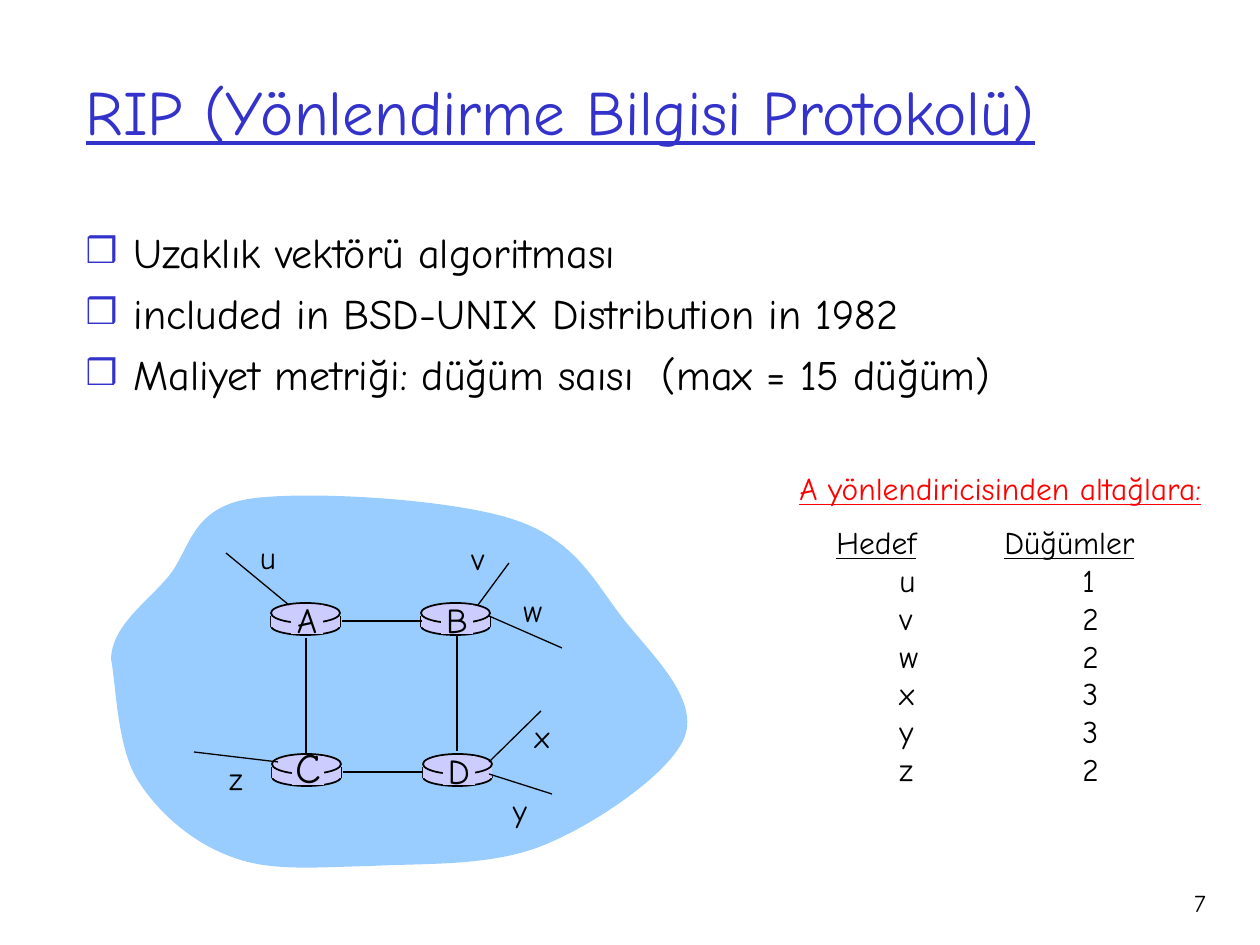
from typing import NamedTuple

from lxml import etree
from pptx import Presentation
from pptx.dml.color import RGBColor
from pptx.enum.shapes import MSO_CONNECTOR, MSO_SHAPE
from pptx.enum.text import MSO_ANCHOR, MSO_AUTO_SIZE, PP_ALIGN
from pptx.oxml.ns import qn
from pptx.util import Pt

SCALE = 914400 / 126
FONT = "Comic Neue"
BLUE = RGBColor(0x33, 0x33, 0xCC)
SKY = RGBColor(0x99, 0xCC, 0xFF)
LILAC = RGBColor(0xCC, 0xCC, 0xFF)
RED = RGBColor(0xFF, 0x00, 0x00)
BLACK = RGBColor(0x00, 0x00, 0x00)
STRAIGHT = MSO_CONNECTOR.STRAIGHT
OVAL, RECTANGLE = MSO_SHAPE.OVAL, MSO_SHAPE.RECTANGLE
LEFT, CENTER, RIGHT = PP_ALIGN.LEFT, PP_ALIGN.CENTER, PP_ALIGN.RIGHT
TOP, MIDDLE = MSO_ANCHOR.TOP, MSO_ANCHOR.MIDDLE
NO_RESIZE = MSO_AUTO_SIZE.NONE


class Router(NamedTuple):
    name: str
    left: int
    top: int
    size: int
    sides: tuple[int, ...] = (0, 69)


class Line(NamedTuple):
    x1: int
    y1: int
    x2: int
    y2: int
    weight: float


class Subnet(NamedTuple):
    name: str
    center: int
    top: int
    hops: int


ROUTERS = [Router("C", 272, 754, 24), Router("A", 271, 603, 20),
           Router("B", 421, 603, 20), Router("D", 423, 754, 20, (0,))]
LINKS = [Line(457, 636, 457, 751, 1), Line(306, 638, 306, 755, 1),
         Line(423, 772, 343, 772, 1), Line(422, 621, 342, 621, 1)]
STUBS = [Line(489, 616, 562, 648, 0.75), Line(478, 605, 509, 563, 0.75),
         Line(489, 762, 541, 711, 0.75), Line(489, 774, 552, 794, 0.75),
         Line(289, 605, 226, 553, 0.75), Line(278, 762, 194, 752, 0.75)]
SUBNETS = [Subnet("u", 268, 532, 1), Subnet("v", 478, 533, 2),
           Subnet("w", 533, 585, 2), Subnet("x", 542, 711, 3),
           Subnet("y", 520, 785, 3), Subnet("z", 236, 753, 2)]
CLOUD_START = (111, 659)
CLOUD_CURVES = [
    ((112, 626), (145, 604), (168, 577)), ((190, 551), (190, 509), (248, 499)),
    ((306, 490), (454, 499), (515, 520)), ((578, 541), (596, 585), (625, 621)),
    ((653, 656), (698, 698), (685, 736)), ((672, 772), (596, 824), (544, 845)),
    ((491, 867), (422, 863), (370, 866)), ((318, 867), (271, 872), (232, 857)),
    ((193, 843), (158, 813), (137, 779)), ((117, 746), (116, 684), (111, 659)),
]
BULLETS = ["Uzaklık vektörü algoritması",
           "included in BSD-UNIX Distribution in 1982",
           "Maliyet metriği: düğüm saısı  (max = 15 düğüm)"]


def emu(*lengths: float) -> list[int]:
    """Turn px lengths into EMU."""
    return [round(length * SCALE) for length in lengths]


def set_font(target, size: int, color=BLACK, underline: bool = False) -> None:
    """Format the font of a run or a paragraph."""
    values = {"name": FONT, "size": Pt(size), "underline": underline}
    for name, value in values.items():
        setattr(target.font, name, value)
    target.font.color.rgb = color


def place(shape, left: int, top: int, width: int, height: int) -> None:
    """Move and size a shape."""
    for name, value in zip(("left", "top", "width", "height"), emu(left, top, width, height)):
        setattr(shape, name, value)


def set_frame(frame, wrap: bool = True, anchor=TOP) -> None:
    """Format a text frame."""
    values = {"word_wrap": wrap, "auto_size": NO_RESIZE, "vertical_anchor": anchor}
    for name, value in values.items():
        setattr(frame, name, value)


def add_text(slide, box, text: str, size: int, align=LEFT, color=BLACK,
             wrap: bool = True, underline: bool = False) -> None:
    """Add a text box with one paragraph."""
    frame = slide.shapes.add_textbox(*emu(*box)).text_frame
    set_frame(frame, wrap)
    paragraph = frame.paragraphs[0]
    paragraph.text = text
    paragraph.alignment = align
    set_font(paragraph.runs[0], size, color, underline)


def set_bullet(paragraph) -> None:
    """Give a paragraph a hanging box bullet."""
    properties = paragraph._p.get_or_add_pPr()
    indent, = emu(48)
    properties.set("marL", str(indent))
    properties.set("indent", str(-indent))
    color = etree.SubElement(properties, qn("a:buClr"))
    etree.SubElement(color, qn("a:srgbClr"), val=str(BLUE))
    etree.SubElement(properties, qn("a:buSzPct"), val="85000")
    etree.SubElement(properties, qn("a:buChar"), char="❒")


def set_tabs(paragraph, positions: tuple[int, ...]) -> None:
    """Set the left tab stops of a paragraph."""
    tabs = etree.SubElement(paragraph._p.get_or_add_pPr(), qn("a:tabLst"))
    for position in emu(*positions):
        etree.SubElement(tabs, qn("a:tab"), pos=str(position), algn="l")


def add_line(slide, line: Line) -> None:
    """Draw a straight black line."""
    connector = slide.shapes.add_connector(STRAIGHT, *emu(line.x1, line.y1, line.x2, line.y2))
    connector.line.color.rgb = BLACK
    connector.line.width = Pt(line.weight)
    etree.SubElement(connector._element.spPr, qn("a:effectLst"))


def set_look(shape, fill, outlined: bool = False) -> None:
    """Fill a shape and set its outline."""
    shape.shadow.inherit = False
    shape.fill.solid()
    shape.fill.fore_color.rgb = fill
    if outlined:
        shape.line.color.rgb = BLACK
        shape.line.width = Pt(1)
    else:
        shape.line.fill.background()


def add_part(slide, kind, box, outlined: bool = False) -> None:
    """Draw one part of a router."""
    set_look(slide.shapes.add_shape(kind, *emu(*box)), LILAC, outlined)


def add_router(slide, router: Router) -> None:
    """Draw a router as a labelled flat cylinder."""
    left, top = router.left, router.top
    add_part(slide, OVAL, (left, top + 14, 69, 18), True)
    for side in router.sides:
        add_line(slide, Line(left + side, top + 13, left + side, top + 24, 1))
    add_part(slide, RECTANGLE, (left, top + 13, 69, 11))
    add_part(slide, OVAL, (left, top, 69, 20), True)
    add_part(slide, RECTANGLE, (left + 20, top + 2, 32, 29))
    height = 2 * router.size + 15
    add_text(slide, (left + 11, top + 44 - height, 50, height), router.name,
             router.size, CENTER, wrap=False)


def add_cloud(slide) -> None:
    """Draw the network cloud, turning each three segments into one Bézier curve."""
    builder = slide.shapes.build_freeform(*CLOUD_START, scale=SCALE)
    builder.add_line_segments([point for curve in CLOUD_CURVES for point in curve], close=True)
    cloud = builder.convert_to_shape()
    segments = list(cloud._element.iter(qn("a:lnTo")))
    for index in range(0, len(CLOUD_CURVES) * 3, 3):
        curve = etree.Element(qn("a:cubicBezTo"))
        segments[index].addprevious(curve)
        for segment in segments[index:index + 3]:
            curve.append(segment[0])
            segment.getparent().remove(segment)
    set_look(cloud, SKY)


def add_hop_list(slide) -> None:
    """List the hop count of each subnet in tabbed columns."""
    frame = slide.shapes.add_textbox(*emu(824, 517, 323, 315)).text_frame
    set_frame(frame)
    rows = [("Hedef", "\t", "Düğümler")] + [(f"\t{s.name}\t{s.hops}",) for s in SUBNETS]
    for index, row in enumerate(rows):
        paragraph = frame.paragraphs[0] if index == 0 else frame.add_paragraph()
        set_tabs(paragraph, (63, 246) if index else (168,))
        for text in row:
            run = paragraph.add_run()
            run.text = text
            set_font(run, 18, underline=index == 0 and text != "\t")


def fill_placeholders(slide) -> None:
    """Write the title and the bullet list."""
    title, body = slide.shapes.title, slide.placeholders[1]
    place(title, 73, 31, 1126, 158)
    set_frame(title.text_frame, anchor=MIDDLE)
    heading = title.text_frame.paragraphs[0]
    heading.text = "RIP (Yönlendirme Bilgisi Protokolü)"
    heading.alignment = LEFT
    set_font(heading.runs[0], 36, BLUE, True)
    place(body, 73, 220, 1134, 233)
    set_frame(body.text_frame)
    for index, text in enumerate(BULLETS):
        paragraph = body.text_frame.paragraphs[0] if index == 0 else body.text_frame.add_paragraph()
        paragraph.text = text
        set_bullet(paragraph)
        paragraph.space_before = Pt(6 if index else 0)
        set_font(paragraph.runs[0], 24)


def main() -> None:
    """Build the slide and save it."""
    presentation = Presentation()
    presentation.slide_width, presentation.slide_height = emu(1260, 945)
    slide = presentation.slides.add_slide(presentation.slide_layouts[1])
    fill_placeholders(slide)
    add_cloud(slide)
    for router in ROUTERS:
        add_router(slide, router)
    for line in LINKS + STUBS:
        add_line(slide, line)
    for subnet in SUBNETS:
        add_text(slide, (subnet.center - 20, subnet.top, 40, 50), subnet.name, 18, CENTER, wrap=False)
    add_hop_list(slide)
    add_text(slide, (787, 463, 428, 50), "A yönlendiricisinden altağlara:", 18,
             color=RED, wrap=False, underline=True)
    add_text(slide, (1125, 882, 93, 63), "7", 14, RIGHT)
    presentation.save("out.pptx")


if __name__ == "__main__":
    main()
